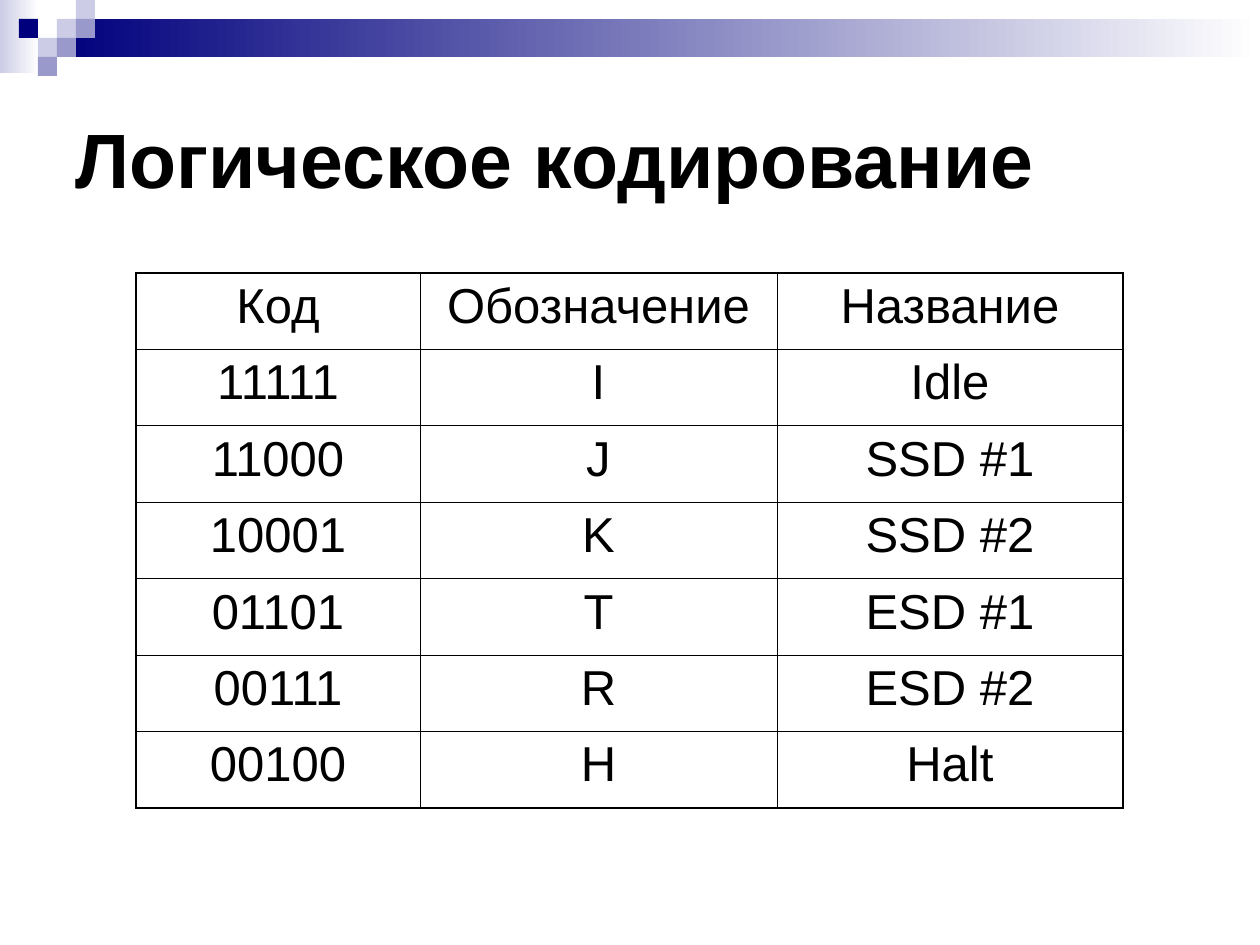
from lxml import etree
from pptx import Presentation, util as u
from pptx.dml.color import RGBColor
from pptx.enum import shapes, text
from pptx.oxml import ns

SCALE = 914400 // 126
STEP = 19
NAVY, LILAC, VIOLET, WHITE, BLACK = "00007D", "CCCCE6", "9999CC", "FFFFFF", "000000"
CODES = [
    ("Код", "Обозначение", "Название"),
    ("11111", "I", "Idle"),
    ("11000", "J", "SSD #1"),
    ("10001", "K", "SSD #2"),
    ("01101", "T", "ESD #1"),
    ("00111", "R", "ESD #2"),
    ("00100", "H", "Halt"),
]
COLUMN_WIDTHS = (284, 357, 346)
TABLE_HEIGHT = 535
MOSAIC = [
    (3, 0, LILAC), (1, 2, LILAC), (2, 1, LILAC),
    (3, 1, VIOLET), (2, 2, VIOLET), (1, 3, VIOLET),
    (0, 1, NAVY),
]


def px(length):
    return u.Emu(length * SCALE)


def color(code):
    return RGBColor.from_string(code)


def style_font(paragraph, size, bold=False):
    font = paragraph.font
    font.name = "Arial"
    font.size = u.Pt(size)
    font.bold = bold
    font.color.rgb = color(BLACK)


def add_block(slide, left, top, width, height):
    block = slide.shapes.add_shape(
        shapes.MSO_SHAPE.RECTANGLE, px(left), px(top), px(width), px(height))
    block.shadow.inherit = False
    block.line.fill.background()
    return block


def add_fade(slide, left, top, width, height, start):
    fill = add_block(slide, left, top, width, height).fill
    fill.gradient()
    fill.gradient_angle = 0
    for stop, code in zip(fill.gradient_stops, (start, WHITE)):
        stop.color.rgb = color(code)


def add_mosaic(slide):
    for column, row, code in MOSAIC:
        fill = add_block(slide, STEP * (column + 1), STEP * row, STEP, STEP).fill
        fill.solid()
        fill.fore_color.rgb = color(code)


def set_title(slide, wording):
    title = slide.shapes.title
    title.left, title.top, title.width, title.height = map(px, (63, 63, 1134, 189))
    frame = title.text_frame
    frame.text = wording
    frame.vertical_anchor = text.MSO_ANCHOR.MIDDLE
    frame.paragraphs[0].alignment = text.PP_ALIGN.LEFT
    style_font(frame.paragraphs[0], 44, bold=True)


def add_border(cell, side, points):
    properties = cell._tc.get_or_add_tcPr()
    border = etree.SubElement(properties, ns.qn(f"a:ln{side}"), w=str(u.Pt(points)))
    paint = etree.SubElement(border, ns.qn("a:solidFill"))
    etree.SubElement(paint, ns.qn("a:srgbClr"), val=BLACK)


def fill_cell(cell, wording, outer_sides):
    for side in "LRTB":
        add_border(cell, side, 1.08 if side in outer_sides else 0.45)
    cell.fill.background()
    cell.vertical_anchor = text.MSO_ANCHOR.TOP
    cell.text = wording
    paragraph = cell.text_frame.paragraphs[0]
    paragraph.alignment = text.PP_ALIGN.CENTER
    style_font(paragraph, 28)


def add_code_table(slide):
    last_row, last_column = len(CODES) - 1, len(COLUMN_WIDTHS) - 1
    table = slide.shapes.add_table(
        len(CODES), len(COLUMN_WIDTHS), px(136), px(273),
        px(sum(COLUMN_WIDTHS)), px(TABLE_HEIGHT)).table
    table.first_row = table.horz_banding = False
    for column, width in zip(table.columns, COLUMN_WIDTHS):
        column.width = px(width)
    for r, code_row in enumerate(CODES):
        for c, wording in enumerate(code_row):
            edges = {"L": c == 0, "R": c == last_column,
                     "T": r == 0, "B": r == last_row}
            outer_sides = [side for side, outer in edges.items() if outer]
            fill_cell(table.cell(r, c), wording, outer_sides)


def main():
    deck = Presentation()
    deck.slide_width, deck.slide_height = px(1260), px(945)
    slide = deck.slides.add_slide(deck.slide_layouts[5])
    add_fade(slide, 0, 0, 39, 73, LILAC)
    add_fade(slide, 3 * STEP, STEP, 1203, 2 * STEP, NAVY)
    add_mosaic(slide)
    set_title(slide, "Логическое кодирование")
    add_code_table(slide)
    deck.save("out.pptx")


if __name__ == "__main__":
    main()
